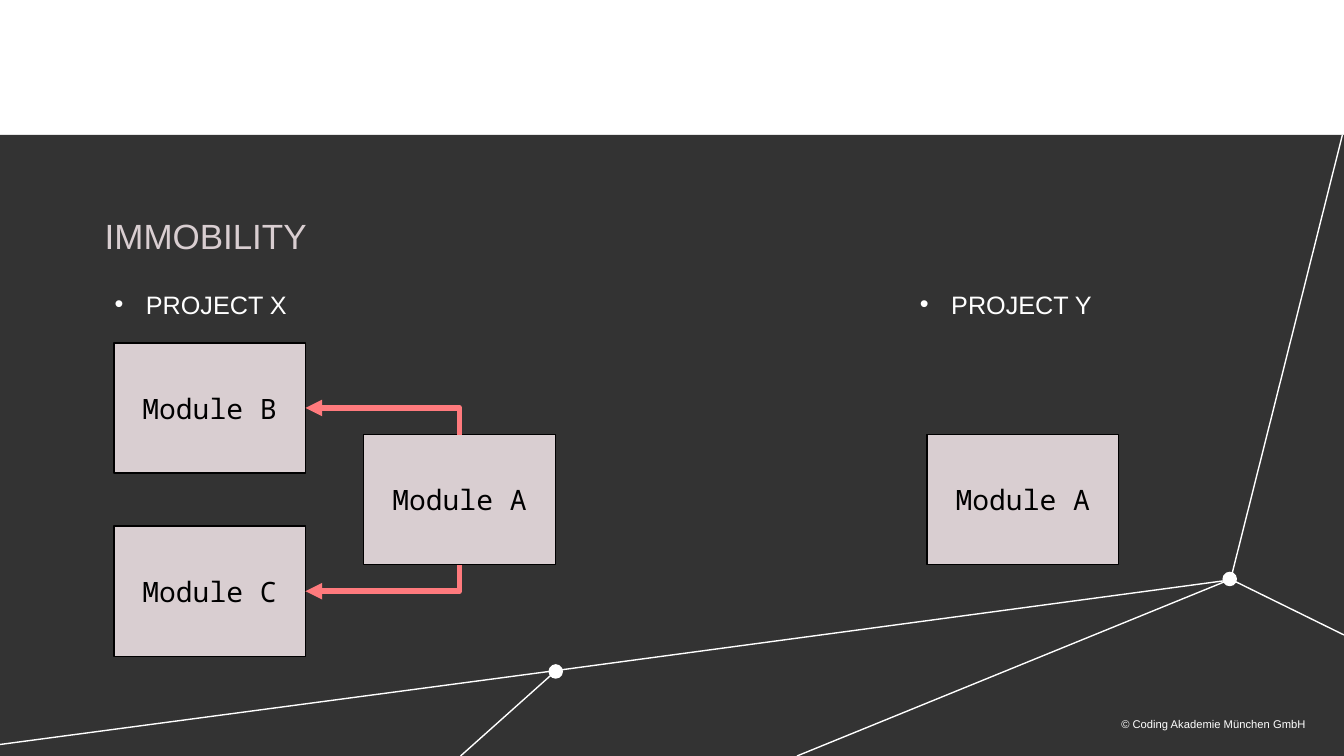
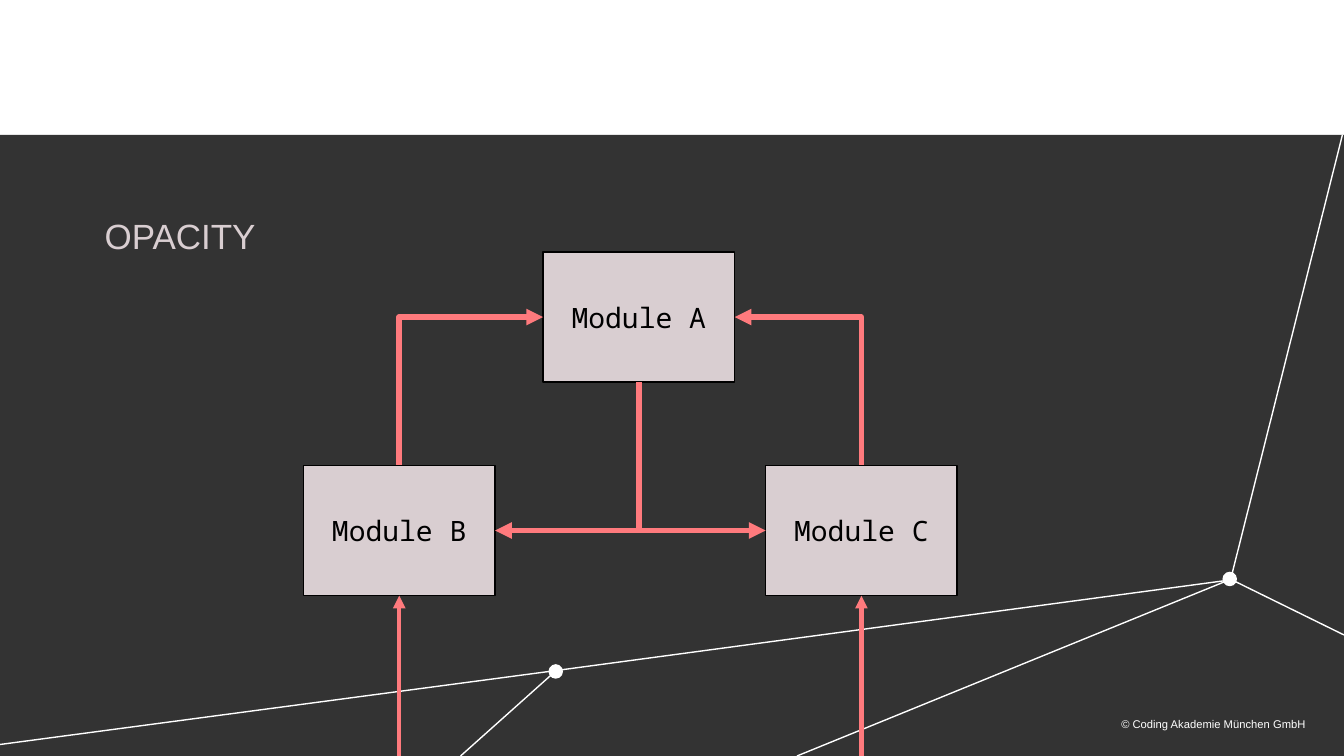
from lxml import etree
from pptx import Presentation
from pptx.dml.color import RGBColor
from pptx.enum.shapes import MSO_CONNECTOR, MSO_SHAPE
from pptx.enum.text import MSO_ANCHOR, MSO_AUTO_SIZE, PP_ALIGN
from pptx.oxml.ns import qn
from pptx.util import Cm, Pt

RECTANGLE, ELLIPSE = MSO_SHAPE.RECTANGLE, MSO_SHAPE.OVAL
STRAIGHT, ELBOW = MSO_CONNECTOR.STRAIGHT, MSO_CONNECTOR.ELBOW
TOP, MIDDLE = MSO_ANCHOR.TOP, MSO_ANCHOR.MIDDLE
LEFT, CENTER, RIGHT = PP_ALIGN.LEFT, PP_ALIGN.CENTER, PP_ALIGN.RIGHT
NO_AUTOFIT = MSO_AUTO_SIZE.NONE
SIDE_TOP, SIDE_LEFT, SIDE_BOTTOM, SIDE_RIGHT = range(4)

COLOURS = {"white": "FFFFFF", "band": "333333", "rose": "D9CED1",
           "arrow": "FF7A7D", "black": "000000"}
SLIDE_WIDTH, SLIDE_HEIGHT = 33.88, 19.05
BAND_TOP = 3.4
MODULE_WIDTH, MODULE_HEIGHT = 4.83, 3.28
NODE_SIZE = 0.33
NODES = [(31, 14.59), (14.01, 16.92)]
NETWORK_LINES = [
    (13.84, 16.92, 0, 18.76),
    (31.04, 14.61, 13.84, 16.92),
    (30.99, 14.58, SLIDE_WIDTH, 16),
    (31.04, 14.53, 33.84, BAND_TOP),
    (14.05, 16.87, 11.61, SLIDE_HEIGHT),
    (30.99, 14.61, 20.09, SLIDE_HEIGHT),
]

NO_MARGINS = {"margin_left": 0, "margin_top": 0,
              "margin_right": 0, "margin_bottom": 0}
STYLES = {
    "title": {
        "frame": {"word_wrap": True, "auto_size": NO_AUTOFIT,
                  "vertical_anchor": TOP, **NO_MARGINS},
        "paragraph": {"alignment": LEFT},
        "font": {"name": "Arial", "size": Pt(25)}, "colour": "rose"},
    "footer": {
        "frame": {"word_wrap": True, "vertical_anchor": MIDDLE, **NO_MARGINS},
        "paragraph": {"alignment": RIGHT, "line_spacing": 0.93},
        "font": {"name": "Arial", "size": Pt(8)}, "colour": "white"},
    "project": {
        "frame": {"word_wrap": False, "vertical_anchor": TOP},
        "paragraph": {"alignment": LEFT},
        "font": {"name": "Arial", "size": Pt(18)}, "colour": "white"},
    "module": {
        "frame": {"word_wrap": True, "vertical_anchor": MIDDLE},
        "paragraph": {"alignment": CENTER},
        "font": {"name": "Noto Sans Mono", "size": Pt(20)}, "colour": "black"},
}


def colour(name):
    return RGBColor.from_string(COLOURS[name])


def set_attributes(target, values):
    for name, value in values.items():
        setattr(target, name, value)


def write_text(shape, text, style_name):
    style = STYLES[style_name]
    frame = shape.text_frame
    frame.text = text
    paragraph = frame.paragraphs[0]
    font = paragraph.runs[0].font
    set_attributes(frame, style["frame"])
    set_attributes(paragraph, style["paragraph"])
    set_attributes(font, style["font"])
    font.color.rgb = colour(style["colour"])
    return paragraph


def add_text(slide, box, text, style_name):
    shape = slide.shapes.add_textbox(*map(Cm, box))
    return write_text(shape, text, style_name)


def add_filled(slide, preset, box, fill, line=None):
    shape = slide.shapes.add_shape(preset, *map(Cm, box))
    shape.shadow.inherit = False
    shape.fill.solid()
    shape.fill.fore_color.rgb = colour(fill)
    if line:
        shape.line.color.rgb = colour(line)
        shape.line.width = Pt(1)
    else:
        shape.line.fill.background()
    return shape


def add_line(slide, kind, points, line, width):
    connector = slide.shapes.add_connector(kind, *points)
    connector.line.color.rgb = colour(line)
    connector.line.width = Pt(width)
    etree.SubElement(connector._element.spPr, qn("a:effectLst"))
    return connector


def add_arrowhead(connector):
    line = connector.line._get_or_add_ln()
    etree.SubElement(line, qn("a:headEnd"), type="triangle")


def add_module(slide, left, top, text):
    box = (left, top, MODULE_WIDTH, MODULE_HEIGHT)
    module = add_filled(slide, RECTANGLE, box, "rose", "black")
    write_text(module, text, "module")
    return module


def add_dependency(slide, target, target_side, source, source_side):
    """One-bend arrow whose head touches the target module."""
    connector = add_line(slide, ELBOW, (0, 0, 0, 0), "arrow", 4)
    connector.begin_connect(target, target_side)
    connector.end_connect(source, source_side)
    geometry = connector._element.spPr.find(qn("a:prstGeom"))
    geometry.set("prst", "bentConnector2")
    add_arrowhead(connector)


def add_arrow_from_below(slide, module):
    middle = module.left + module.width // 2
    points = (middle, module.top + module.height, middle, Cm(SLIDE_HEIGHT))
    connector = add_line(slide, STRAIGHT, points, "arrow", 3)
    connector.begin_connect(module, SIDE_BOTTOM)
    add_arrowhead(connector)


def move_backdrop_to_layout(slide, layout):
    """Draw the dark band with its network once, behind every slide."""
    for placeholder in list(layout.placeholders)[1:]:
        placeholder._element.getparent().remove(placeholder._element)
    band = (0, BAND_TOP, SLIDE_WIDTH, SLIDE_HEIGHT - BAND_TOP)
    parts = [add_filled(slide, RECTANGLE, band, "band")]
    for x, y in NODES:
        box = (x - NODE_SIZE / 2, y - NODE_SIZE / 2, NODE_SIZE, NODE_SIZE)
        parts.append(add_filled(slide, ELLIPSE, box, "white", "white"))
    for points in NETWORK_LINES:
        parts.append(add_line(slide, STRAIGHT, map(Cm, points), "white", 1))
    for part in parts:
        layout.shapes._spTree.append(part._element)


def add_titled_slide(presentation, layout, title):
    slide = presentation.slides.add_slide(layout)
    set_attributes(slide.shapes.title, {
        "left": Cm(2.64), "top": Cm(5.41),
        "width": Cm(28.5), "height": Cm(1.07)})
    write_text(slide.shapes.title, title, "title")
    add_text(slide, (22.94, 18.11, 9.98, 0.33),
             "© Coding Akademie München GmbH", "footer")
    return slide


def add_project_label(slide, left, top, text):
    paragraph = add_text(slide, (left, top, 4.9, 1.02), text, "project")
    properties = paragraph._p.get_or_add_pPr()
    properties.set("marL", str(Cm(0.79)))
    properties.set("indent", str(-Cm(0.79)))
    etree.SubElement(properties, qn("a:buFont"), typeface="Arial")
    etree.SubElement(properties, qn("a:buChar"), char="•")


def add_project_x(slide, left, top):
    add_project_label(slide, left, top, "PROJECT X")
    module_a = add_module(slide, left + 6.53, top + 3.79, "Module A")
    module_b = add_module(slide, left + 0.23, top + 1.48, "Module B")
    module_c = add_module(slide, left + 0.23, top + 6.1, "Module C")
    add_dependency(slide, module_b, SIDE_RIGHT, module_a, SIDE_TOP)
    add_dependency(slide, module_c, SIDE_RIGHT, module_a, SIDE_BOTTOM)


def add_project_y(slide, left, top):
    add_project_label(slide, left, top, "PROJECT Y")
    add_module(slide, left + 0.43, top + 3.79, "Module A")


def add_module_cycle(slide, left, top):
    module_a = add_module(slide, left + 6.04, top, "Module A")
    module_b = add_module(slide, left, top + 5.38, "Module B")
    module_c = add_module(slide, left + 11.65, top + 5.38, "Module C")
    for module, outer, inner in ((module_b, SIDE_LEFT, SIDE_RIGHT),
                                 (module_c, SIDE_RIGHT, SIDE_LEFT)):
        add_dependency(slide, module_a, outer, module, SIDE_TOP)
        add_dependency(slide, module, inner, module_a, SIDE_BOTTOM)
        add_arrow_from_below(slide, module)


def main():
    presentation = Presentation()
    presentation.slide_width = Cm(SLIDE_WIDTH)
    presentation.slide_height = Cm(SLIDE_HEIGHT)
    layout = presentation.slide_layouts.get_by_name("Title Only")

    # Modules that cannot be reused in another project
    immobility = add_titled_slide(presentation, layout, "IMMOBILITY")
    move_backdrop_to_layout(immobility, layout)
    add_project_x(immobility, 2.64, 7.16)
    add_project_y(immobility, 22.94, 7.16)

    # Modules that depend on each other
    opacity = add_titled_slide(presentation, layout, "OPACITY")
    add_module_cycle(opacity, 7.65, 6.35)

    presentation.save("out.pptx")


if __name__ == "__main__":
    main()
